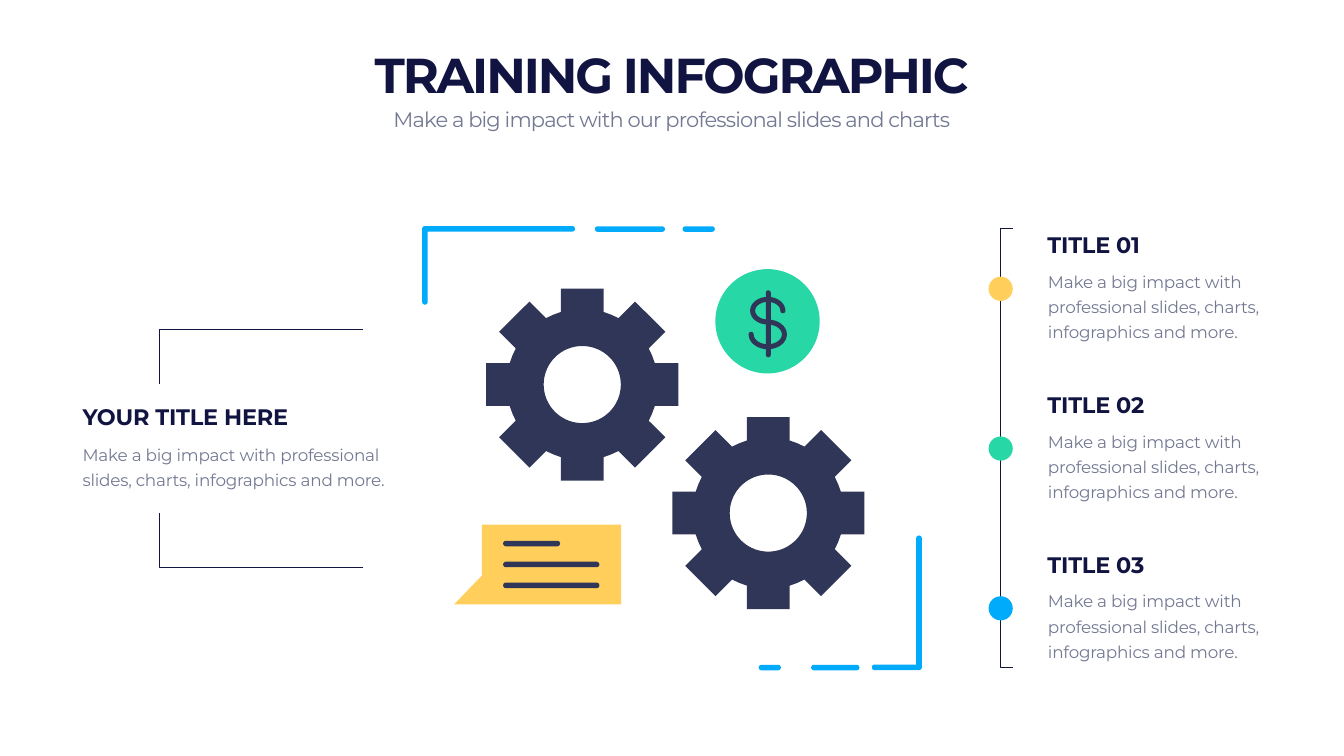
from math import cos, pi, radians, sin

from pptx import Presentation
from pptx.dml.color import RGBColor
from pptx.enum.shapes import MSO_SHAPE
from pptx.enum.text import MSO_ANCHOR, MSO_AUTO_SIZE, PP_ALIGN
from pptx.util import Inches, Pt

OVAL = MSO_SHAPE.OVAL
ROUNDED_RECTANGLE = MSO_SHAPE.ROUNDED_RECTANGLE
TOP, BOTTOM = MSO_ANCHOR.TOP, MSO_ANCHOR.BOTTOM
LEFT, CENTER = PP_ALIGN.LEFT, PP_ALIGN.CENTER
GROW = MSO_AUTO_SIZE.SHAPE_TO_FIT_TEXT

NAVY = RGBColor(0x11, 0x13, 0x40)
SLATE = RGBColor(0x30, 0x36, 0x57)
GREY = RGBColor(0x74, 0x79, 0x93)
BLUE = RGBColor(0x00, 0xAB, 0xFB)
GREEN = RGBColor(0x28, 0xD7, 0xA6)
YELLOW = RGBColor(0xFF, 0xCE, 0x5B)

FONT = "Montserrat"
BODY_TEXT = "Make a big impact with professional slides, charts, infographics and more."
STROKE = 0.11
HALF_STROKE = STROKE / 2


def fill_text(shape, box, text, size, color, bold=False, tracking=-0.3,
              align=LEFT, anchor=TOP, line_spacing=1.0):
    """Place a text shape and write one formatted paragraph in it."""
    shape.left, shape.top, shape.width, shape.height = map(Inches, box)
    frame = shape.text_frame
    frame.word_wrap = True
    frame.auto_size = GROW
    frame.vertical_anchor = anchor
    paragraph = frame.paragraphs[0]
    paragraph.alignment = align
    paragraph.line_spacing = line_spacing
    paragraph.space_before = Pt(0)
    run = paragraph.add_run()
    run.text = text
    font = run.font
    font.name, font.size, font.bold = FONT, Pt(size), bold
    font.color.rgb = color
    run._r.get_or_add_rPr().set("spc", str(round(tracking * 100)))


def add_text_block(shapes, title, left, top, width, body_left, body_top, body_height):
    """Add a bold heading with a body text below it."""
    heading = shapes.add_textbox(0, 0, 0, 0)
    fill_text(heading, (left, top, width, 0.64), title, 32, NAVY, bold=True, anchor=BOTTOM)
    body = shapes.add_textbox(0, 0, 0, 0)
    fill_text(body, (body_left, body_top, width, body_height), BODY_TEXT, 24, GREY,
              line_spacing=Pt(36))


def paint(shape, color):
    """Give a shape a plain fill without outline or shadow."""
    shape.shadow.inherit = False
    shape.fill.solid()
    shape.fill.fore_color.rgb = color
    shape.line.fill.background()


def add_preset(shapes, kind, left, top, width, height, color):
    """Add a filled preset shape."""
    shape = shapes.add_shape(kind, *map(Inches, (left, top, width, height)))
    paint(shape, color)
    return shape


def add_bar(shapes, left, top, width, height, color):
    """Add a bar with fully rounded ends."""
    bar = add_preset(shapes, ROUNDED_RECTANGLE, left, top, width, height, color)
    bar.adjustments[0] = 0.5


def make_outline(shapes, contours, closed=True):
    """Build a freeform from one or more lists of points in inches."""
    contours = [[(Inches(x), Inches(y)) for x, y in points] for points in contours]
    builder = shapes.build_freeform(*contours[0][0])
    builder.add_line_segments(contours[0][1:], close=closed)
    for points in contours[1:]:
        builder.move_to(*points[0])
        builder.add_line_segments(points[1:], close=closed)
    return builder.convert_to_shape()


def add_line_frame(shapes, points):
    """Add a thin open line frame."""
    frame = make_outline(shapes, [points], closed=False)
    frame.shadow.inherit = False
    frame.fill.background()
    frame.line.color.rgb = NAVY
    frame.line.width = Pt(1)


def arc(x, y, radius_x, radius_y, start, end, steps=24):
    """Return points on an elliptical arc, with angles in degrees."""
    angles = [radians(start + (end - start) * step / steps) for step in range(steps + 1)]
    return [(x + radius_x * cos(angle), y + radius_y * sin(angle)) for angle in angles]


def add_gear(shapes, x, y):
    """Add a gear with eight teeth and a round hole."""
    tooth = [(1.44, -0.425), (1.905, -0.425), (1.905, 0.425), (1.44, 0.425),
             (1.5 * cos(pi / 8), 1.5 * sin(pi / 8))]
    rim = []
    for index in range(8):
        turn = index * pi / 4
        rim += [(x + a * cos(turn) - b * sin(turn), y + a * sin(turn) + b * cos(turn))
                for a, b in tooth]
    hole = arc(x, y, 0.765, 0.765, 360, 0, steps=72)
    paint(make_outline(shapes, [rim, hole]), SLATE)


def add_corner(shapes, x, y, run, rise, direction):
    """Add a thick rounded corner whose arms follow the direction sign."""
    r = HALF_STROKE
    points = (arc(run, 0, r, r, -90, 90) + [(r, r)]
              + arc(0, rise, r, r, 0, 180) + arc(0, 0, r, r, 180, 270))
    points = [(x + direction * a, y + direction * b) for a, b in points]
    paint(make_outline(shapes, [points]), BLUE)


def add_dollar_coin(shapes):
    """Add the green coin with its dollar sign."""
    add_preset(shapes, OVAL, 14.19, 5.34, 2.07, 2.07, GREEN)
    x, upper_y, lower_y, r = 15.23, 6.165, 6.635, 0.05

    def upper(offset, start, end):
        return arc(x, upper_y, 0.3 + offset, 0.225 + offset, start, end)

    def lower(offset, start, end):
        return arc(x, lower_y, 0.33 + offset, 0.245 + offset, start, end)

    points = (upper(r, 0, -270) + lower(-r, -90, 180)
              + arc(x - 0.33, lower_y, r, r, 0, -180)
              + lower(r, 180, -90) + upper(-r, -270, 0)
              + arc(x + 0.3, upper_y, r, r, 180, 0))
    paint(make_outline(shapes, [points]), SLATE)
    add_bar(shapes, 15.19, 5.76, 0.1, 1.33, SLATE)


def add_speech_bubble(shapes):
    """Add the yellow speech bubble with three text bars."""
    points = [(12.32, 11.99), (9.01, 11.99), (9.56, 11.42), (9.56, 10.41), (12.32, 10.41)]
    paint(make_outline(shapes, [points]), YELLOW)
    for index, width in enumerate((1.13, 1.91, 1.91)):
        add_bar(shapes, 9.98, 10.73 + index * 0.415, width, STROKE, SLATE)


def add_dashed_corners(shapes):
    """Add the two blue corners and their dashes."""
    add_corner(shapes, 18.23, 13.24, 0.88, 2.56, -1)
    add_corner(shapes, 8.43, 4.54, 2.92, 1.45, 1)
    for left, top, width in ((16.09, 13.19, 0.96), (15.05, 13.19, 0.44),
                             (11.8, 4.49, 1.39), (13.54, 4.49, 0.64)):
        add_bar(shapes, left, top, width, STROKE, BLUE)


def add_timeline(shapes):
    """Add the right-hand line with its three titled dots."""
    add_line_frame(shapes, [(20.09, 13.25), (19.85, 13.25), (19.85, 4.54), (20.09, 4.54)])
    for index, color in enumerate((YELLOW, GREEN, BLUE)):
        top = 4.53 + index * 3.17
        add_preset(shapes, OVAL, 19.61, top + 0.96, 0.48, 0.48, color)
        add_text_block(shapes, f"TITLE {index + 1:02}", 20.68, top, 4.53,
                       20.69, top + 0.71, 1.57)


def main():
    """Build and save the training infographic."""
    presentation = Presentation()
    presentation.slide_width, presentation.slide_height = Inches(26.66), Inches(15)
    slide = presentation.slides.add_slide(presentation.slide_layouts[0])
    shapes = slide.shapes
    fill_text(shapes.title, (1.66, 0.82, 23.33, 1.28), "TRAINING INFOGRAPHIC",
              70, NAVY, bold=True, tracking=-2.9, align=CENTER, anchor=BOTTOM)
    fill_text(slide.placeholders[1], (1.66, 2.06, 23.33, 0.61),
              "Make a big impact with our professional slides and charts",
              30, GREY, tracking=-1.2, align=CENTER)
    add_dollar_coin(shapes)
    add_gear(shapes, 11.55, 7.63)
    add_gear(shapes, 15.24, 10.18)
    add_speech_bubble(shapes)
    add_dashed_corners(shapes)
    add_line_frame(shapes, [(3.16, 7.61), (3.16, 6.53), (7.21, 6.53)])
    add_text_block(shapes, "YOUR TITLE HERE", 1.54, 7.95, 6.45, 1.54, 8.67, 1.07)
    add_line_frame(shapes, [(7.21, 11.26), (3.16, 11.26), (3.16, 10.18)])
    add_timeline(shapes)
    presentation.save("out.pptx")


if __name__ == "__main__":
    main()
